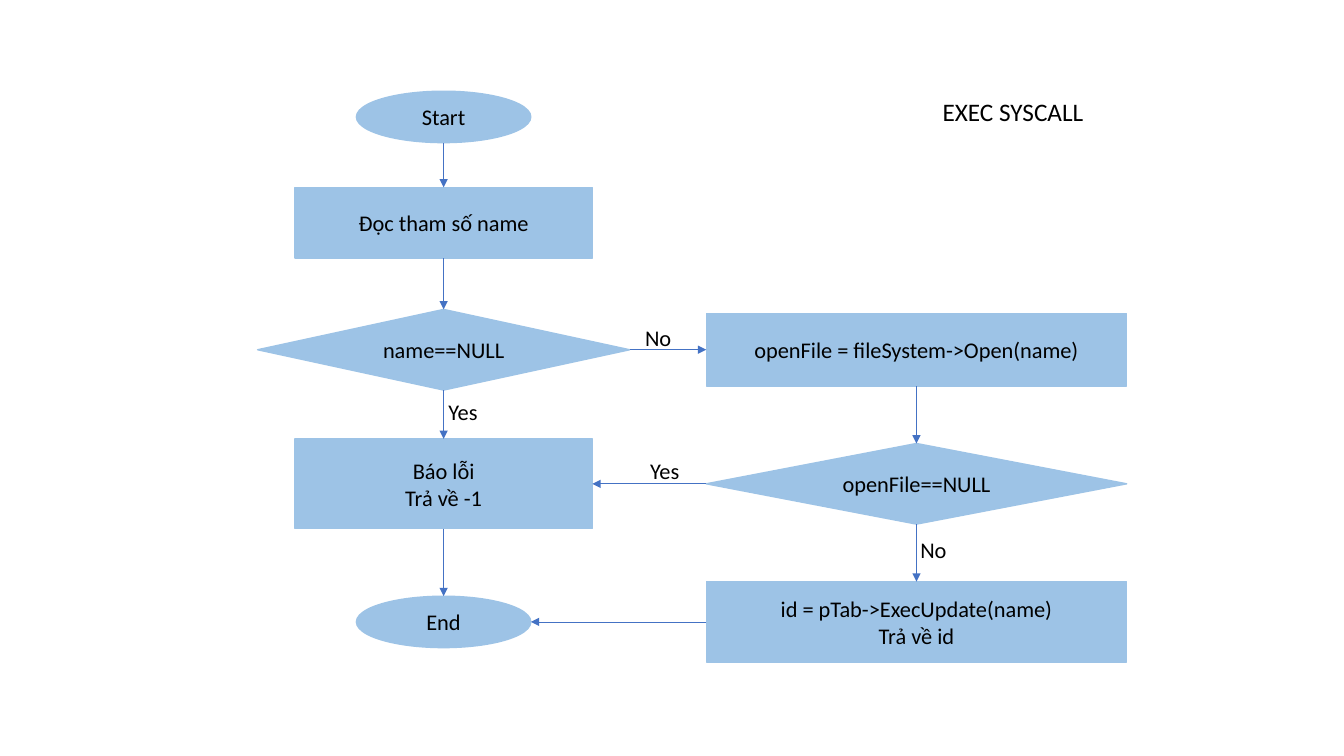
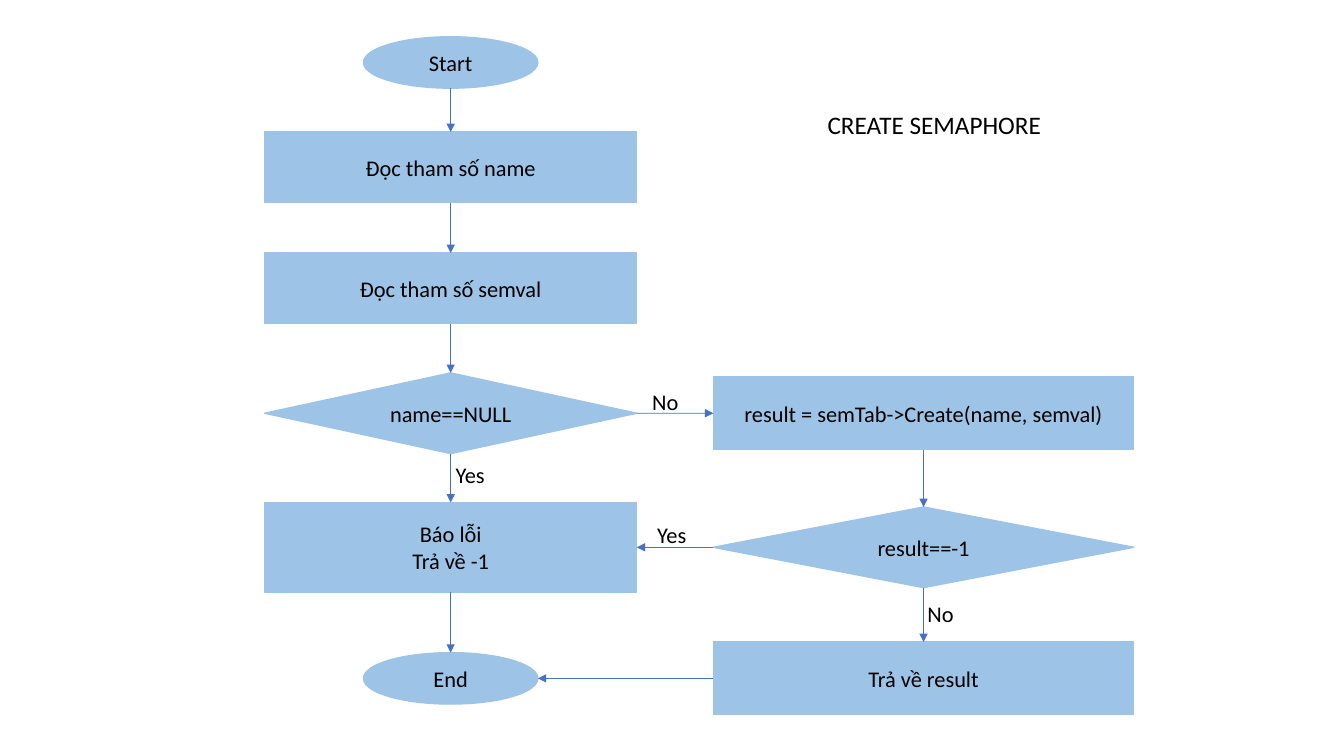
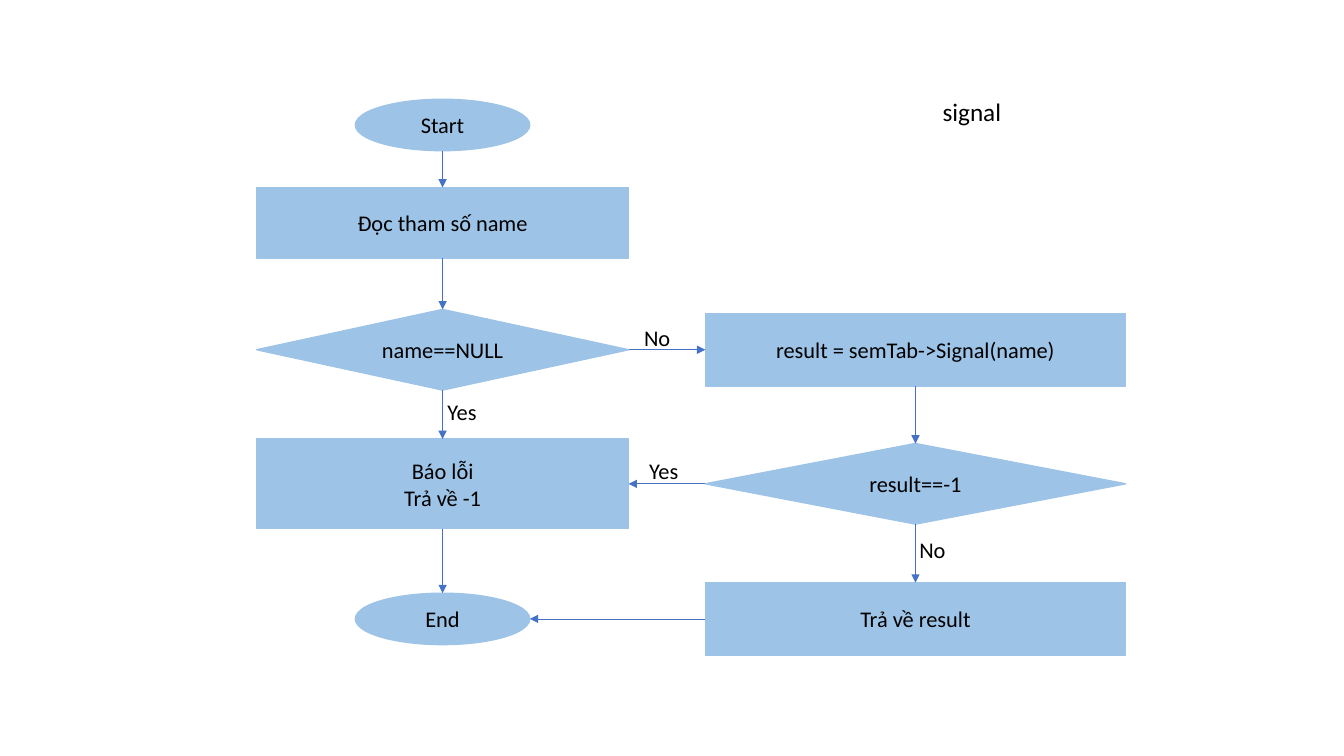
from dataclasses import dataclass

from lxml import etree
from pptx import Presentation
from pptx import util as u
from pptx.dml.color import RGBColor
from pptx.enum import shapes, text
from pptx.oxml.ns import qn

TOP, LEFT, BOTTOM, RIGHT = range(4)
RECTANGLE = shapes.MSO_SHAPE.RECTANGLE
DIAMOND = shapes.MSO_SHAPE.DIAMOND
OVAL = shapes.MSO_SHAPE.OVAL


@dataclass(frozen=True)
class Theme:
    font: str = "Calibri"
    ink: RGBColor = RGBColor(0x00, 0x00, 0x00)
    node: RGBColor = RGBColor(0x9D, 0xC3, 0xE6)
    arrow: RGBColor = RGBColor(0x44, 0x72, 0xC4)
    body_size: int = 16
    title_size: int = 18
    node_line: float = 1
    arrow_line: float = 0.5


@dataclass(frozen=True)
class Flow:
    """Content of one flowchart; positions are in inches, y values are middles."""
    title: str
    title_box: tuple
    x: float                # centre of the left column
    check_y: float          # row of the first decision
    start_y: float
    reads: tuple            # (text, y) of each input step
    left_width: float       # width of the left column's rectangles
    call: str
    test: str
    result: str
    result_height: float
    end_drop: float         # from the first decision to the last row


FLOWS = (
    Flow("EXEC SYSCALL", (9.25, 0.91, 1.61), 4.4, 3.47, 1.16,
         (("Đọc tham số name", 2.21),), 2.95,
         "openFile = fileSystem->Open(name)", "openFile==NULL",
         "id = pTab->ExecUpdate(name)\nTrả về id", 0.8, 2.7),
    Flow("CREATE SEMAPHORE", (8.11, 1.04, 2.34), 4.47, 4.1, 0.62,
         (("Đọc tham số name", 1.66), ("Đọc tham số semval", 2.86)), 3.69,
         "result = semTab->Create(name, semval)", "result==-1",
         "Trả về result", 0.72, 2.63),
    Flow("signal", (9.25, 0.91, 0.79), 4.39, 3.47, 1.24,
         (("Đọc tham số name", 2.21),), 3.69,
         "result = semTab->Signal(name)", "result==-1",
         "Trả về result", 0.72, 2.67),
)


class FlowchartDeck:
    COLUMN_GAP = 4.69
    ROW_GAP = 1.33
    CHECK_SIZE = (3.69, 0.8)
    RIGHT_WIDTH = 4.17

    def __init__(self, theme):
        self.theme = theme
        self.presentation = Presentation()
        self.presentation.slide_width = u.Inches(13.33)
        self.presentation.slide_height = u.Inches(7.5)
        self.slide = None

    def add_slide(self):
        self.slide = self.presentation.slides.add_slide(
            self.presentation.slide_layouts[6])

    def style_text(self, frame, size, alignment):
        for paragraph in frame.paragraphs:
            paragraph.alignment = alignment
            for run in paragraph.runs:
                run.font.name = self.theme.font
                run.font.size = u.Pt(size)
                run.font.color.rgb = self.theme.ink

    def node(self, kind, words, x, y, width, height):
        """Add a filled shape centred on x, y."""
        shape = self.slide.shapes.add_shape(
            kind, u.Inches(x - width / 2), u.Inches(y - height / 2),
            u.Inches(width), u.Inches(height))
        shape.shadow.inherit = False
        shape.fill.solid()
        shape.fill.fore_color.rgb = self.theme.node
        shape.line.color.rgb = self.theme.node
        shape.line.width = u.Pt(self.theme.node_line)
        frame = shape.text_frame
        frame.text = words
        frame.vertical_anchor = text.MSO_ANCHOR.MIDDLE
        self.style_text(frame, self.theme.body_size, text.PP_ALIGN.CENTER)
        return shape

    def terminal(self, words, x, y):
        return self.node(OVAL, words, x, y, 1.73, 0.51)

    def label(self, words, x, y, width, height=0.37, size=None):
        box = self.slide.shapes.add_textbox(
            u.Inches(x), u.Inches(y), u.Inches(width), u.Inches(height))
        frame = box.text_frame
        frame.text = words
        frame.word_wrap = False
        frame.auto_size = text.MSO_AUTO_SIZE.SHAPE_TO_FIT_TEXT
        self.style_text(frame, size or self.theme.body_size, text.PP_ALIGN.LEFT)

    @staticmethod
    def side_middle(shape, side):
        across = {LEFT: 0, RIGHT: shape.width}.get(side, shape.width // 2)
        down = {TOP: 0, BOTTOM: shape.height}.get(side, shape.height // 2)
        return shape.left + across, shape.top + down

    def arrow(self, source, target, leave=BOTTOM, enter=TOP):
        connector = self.slide.shapes.add_connector(
            shapes.MSO_CONNECTOR.STRAIGHT,
            *self.side_middle(source, leave), *self.side_middle(target, enter))
        # Ovals number their connection sites differently, so they stay unjoined.
        if source.auto_shape_type != OVAL:
            connector.begin_connect(source, leave)
        if target.auto_shape_type != OVAL:
            connector.end_connect(target, enter)
        connector.line.color.rgb = self.theme.arrow
        connector.line.width = u.Pt(self.theme.arrow_line)
        etree.SubElement(connector.line._get_or_add_ln(), qn("a:tailEnd"),
                         type="triangle")
        etree.SubElement(connector._element.spPr, qn("a:effectLst"))

    def flowchart(self, flow):
        self.add_slide()
        x, y = flow.x, flow.check_y
        right_x = x + self.COLUMN_GAP
        test_y, end_y = y + self.ROW_GAP, y + flow.end_drop

        start = self.terminal("Start", x, flow.start_y)
        reads = [self.node(RECTANGLE, words, x, read_y, flow.left_width, 0.7)
                 for words, read_y in flow.reads]
        check = self.node(DIAMOND, "name==NULL", x, y, *self.CHECK_SIZE)
        error = self.node(RECTANGLE, "Báo lỗi\nTrả về -1", x, test_y,
                          flow.left_width, 0.89)
        end = self.terminal("End", x, end_y)
        call = self.node(RECTANGLE, flow.call, right_x, y, self.RIGHT_WIDTH, 0.72)
        test = self.node(DIAMOND, flow.test, right_x, test_y, self.RIGHT_WIDTH, 0.8)
        result = self.node(RECTANGLE, flow.result, right_x, end_y,
                           self.RIGHT_WIDTH, flow.result_height)

        for column in ([start, *reads, check, error, end], [call, test, result]):
            for source, target in zip(column, column[1:]):
                self.arrow(source, target)
        self.arrow(check, call, RIGHT, LEFT)
        self.arrow(test, error, LEFT, RIGHT)
        self.arrow(result, end, LEFT, RIGHT)

        for words, across, down, width in (
                ("Yes", -0.05, 0.43, 0.5), ("Yes", 1.95, 1.02, 0.5),
                ("No", 4.63, 1.8, 0.47), ("No", 1.9, -0.3, 0.47)):
            self.label(words, x + across, y + down, width)
        self.label(flow.title, *flow.title_box, 0.4, self.theme.title_size)


def main():
    deck = FlowchartDeck(Theme())
    for flow in FLOWS:
        deck.flowchart(flow)
    deck.presentation.save("out.pptx")


if __name__ == "__main__":
    main()
